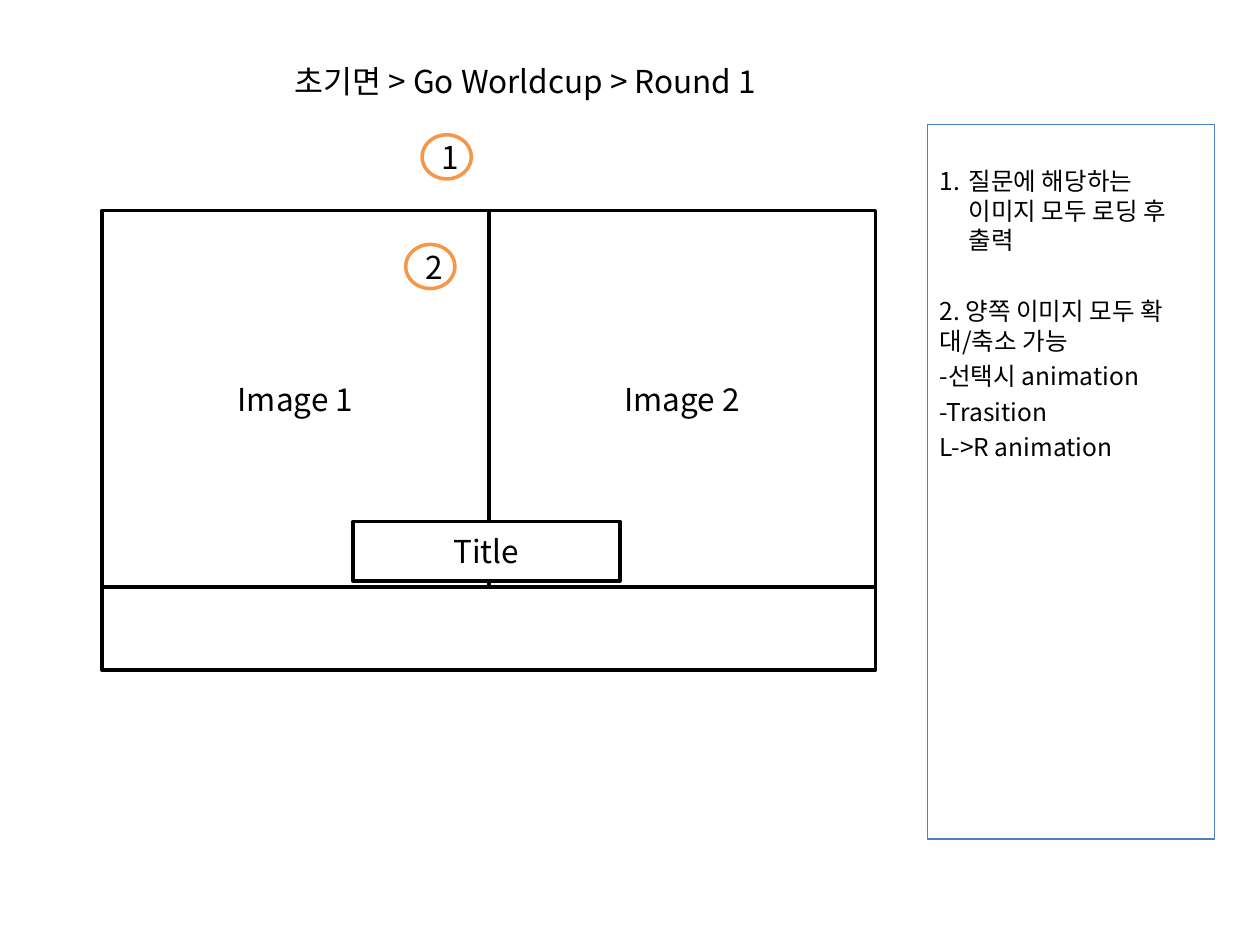
from lxml.etree import SubElement
from pptx import Presentation
from pptx.dml.color import RGBColor
from pptx.enum.shapes import MSO_SHAPE
from pptx.enum.text import MSO_ANCHOR, PP_ALIGN
from pptx.oxml.ns import qn
from pptx.util import Inches, Pt

FONT = "Noto Sans CJK KR"
COLORS = {"ink": "000000", "paper": "FFFFFF", "marker": "F79646", "panel": "4F81BD"}
FRAME_LEFT, FRAME_TOP = 0.81, 1.67
IMAGE_WIDTH, IMAGE_HEIGHT = 3.07, 2.99
FOOTER_HEIGHT = 0.66
NOTE_SIZE, NOTE_LINE, NOTE_GAP = 14, 16.8, 3.5
# Each note: text, whether it is numbered, whether a line is left free above it
NOTES = [
    ("질문에 해당하는 이미지 모두 로딩 후 출력", True, False),
    ("2. 양쪽 이미지 모두 확대/축소 가능", False, True),
    ("-선택시 animation", False, False),
    ("-Trasition", False, False),
    ("L->R animation", False, False),
]


def color(name):
    return RGBColor.from_string(COLORS[name])


def style(paragraph, size):
    paragraph.font.name = FONT
    paragraph.font.size = Pt(size)
    paragraph.font.color.rgb = color("ink")


def write_centered(frame, text):
    frame.word_wrap = True
    frame.vertical_anchor = MSO_ANCHOR.MIDDLE
    paragraph = frame.paragraphs[0]
    paragraph.text = text
    paragraph.alignment = PP_ALIGN.CENTER
    style(paragraph, 18)


def add_outlined(slide, box, text="", kind=MSO_SHAPE.RECTANGLE,
                 line="ink", weight=2, fill=None):
    shape = slide.shapes.add_shape(kind, *map(Inches, box))
    shape.shadow.inherit = False
    if fill:
        shape.fill.solid()
        shape.fill.fore_color.rgb = color(fill)
    else:
        shape.fill.background()
    shape.line.color.rgb = color(line)
    shape.line.width = Pt(weight)
    if text:
        write_centered(shape.text_frame, text)
    return shape


def add_marker(slide, left, top, number):
    add_outlined(slide, (left, top, 0.39, 0.35), number, MSO_SHAPE.OVAL,
                 line="marker", fill="paper")


def number_paragraph(paragraph):
    properties = paragraph._p.get_or_add_pPr()
    indent = Inches(0.23)
    properties.set("marL", str(indent))
    properties.set("indent", str(-indent))
    SubElement(properties, qn("a:buAutoNum"), type="arabicPeriod")


def add_notes(slide):
    panel = add_outlined(slide, (7.36, 0.99, 2.28, 5.67), line="panel", weight=0.75)
    frame = panel.text_frame
    frame.word_wrap = True
    frame.vertical_anchor = MSO_ANCHOR.TOP
    frame.margin_top = Inches(0.33)
    for index, (text, numbered, spaced) in enumerate(NOTES):
        paragraph = frame.add_paragraph() if index else frame.paragraphs[0]
        paragraph.text = text
        paragraph.alignment = PP_ALIGN.LEFT
        if numbered:
            number_paragraph(paragraph)
        paragraph.line_spacing = Pt(NOTE_LINE)
        gap = NOTE_GAP if index else 0
        paragraph.space_before = Pt(gap + (NOTE_LINE + NOTE_GAP if spaced else 0))
        style(paragraph, NOTE_SIZE)


def add_wireframe(slide):
    for column in range(2):
        left = FRAME_LEFT + column * IMAGE_WIDTH
        add_outlined(slide, (left, FRAME_TOP, IMAGE_WIDTH, IMAGE_HEIGHT),
                     f"Image {column + 1}")
    add_outlined(slide, (FRAME_LEFT, FRAME_TOP + IMAGE_HEIGHT,
                         2 * IMAGE_WIDTH, FOOTER_HEIGHT))
    add_marker(slide, 3.22, 1.94, "2")
    add_marker(slide, 3.35, 1.07, "1")
    add_outlined(slide, (2.8, 4.14, 2.12, 0.47), "Title", fill="paper")


def main():
    deck = Presentation()
    deck.slide_width, deck.slide_height = Inches(10), Inches(7.5)
    slide = deck.slides.add_slide(deck.slide_layouts[6])
    heading = slide.shapes.add_textbox(*map(Inches, (0.5, 0.3, 7.34, 0.69)))
    write_centered(heading.text_frame, "초기면 > Go Worldcup > Round 1")
    add_notes(slide)
    add_wireframe(slide)
    deck.save("out.pptx")


if __name__ == "__main__":
    main()
